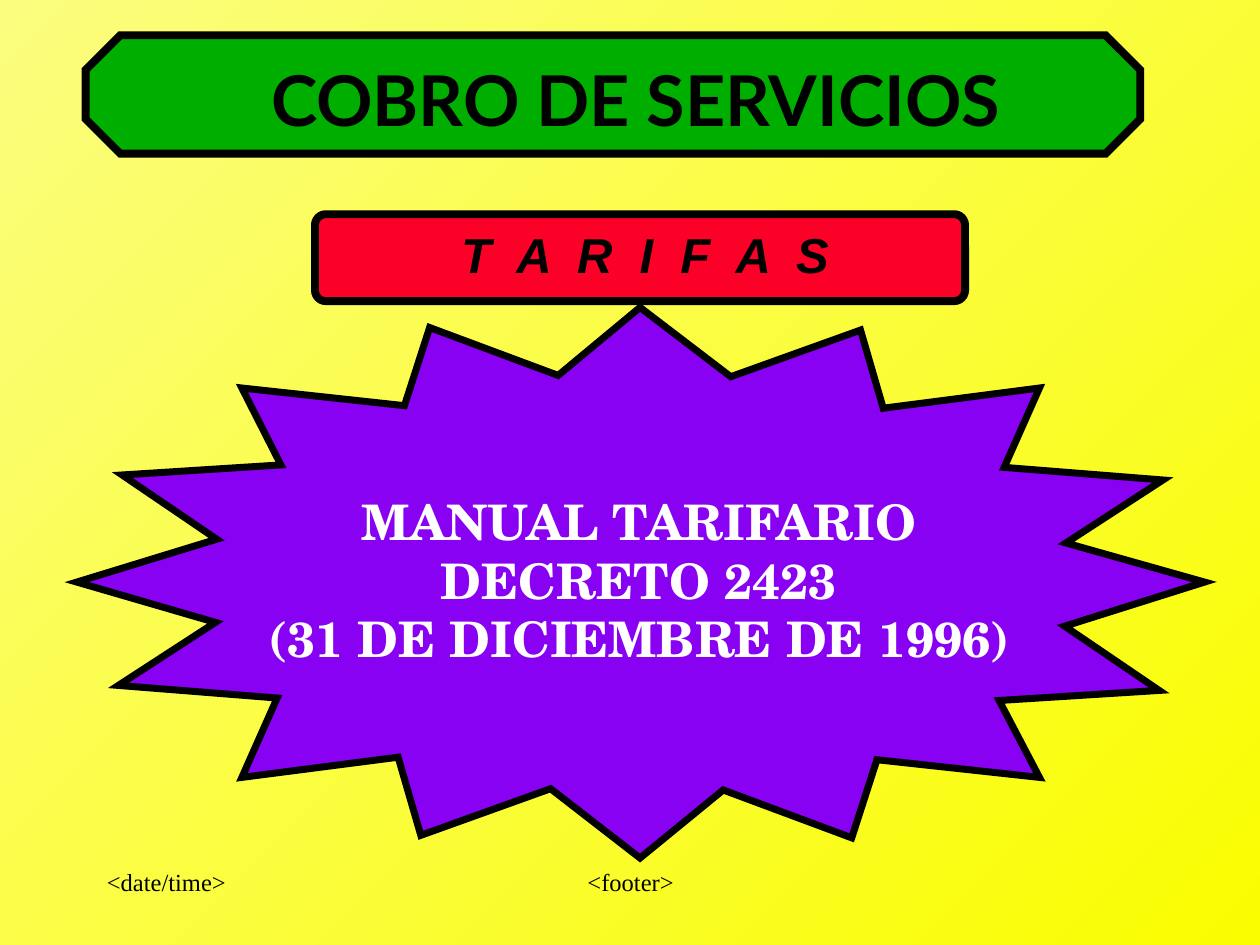
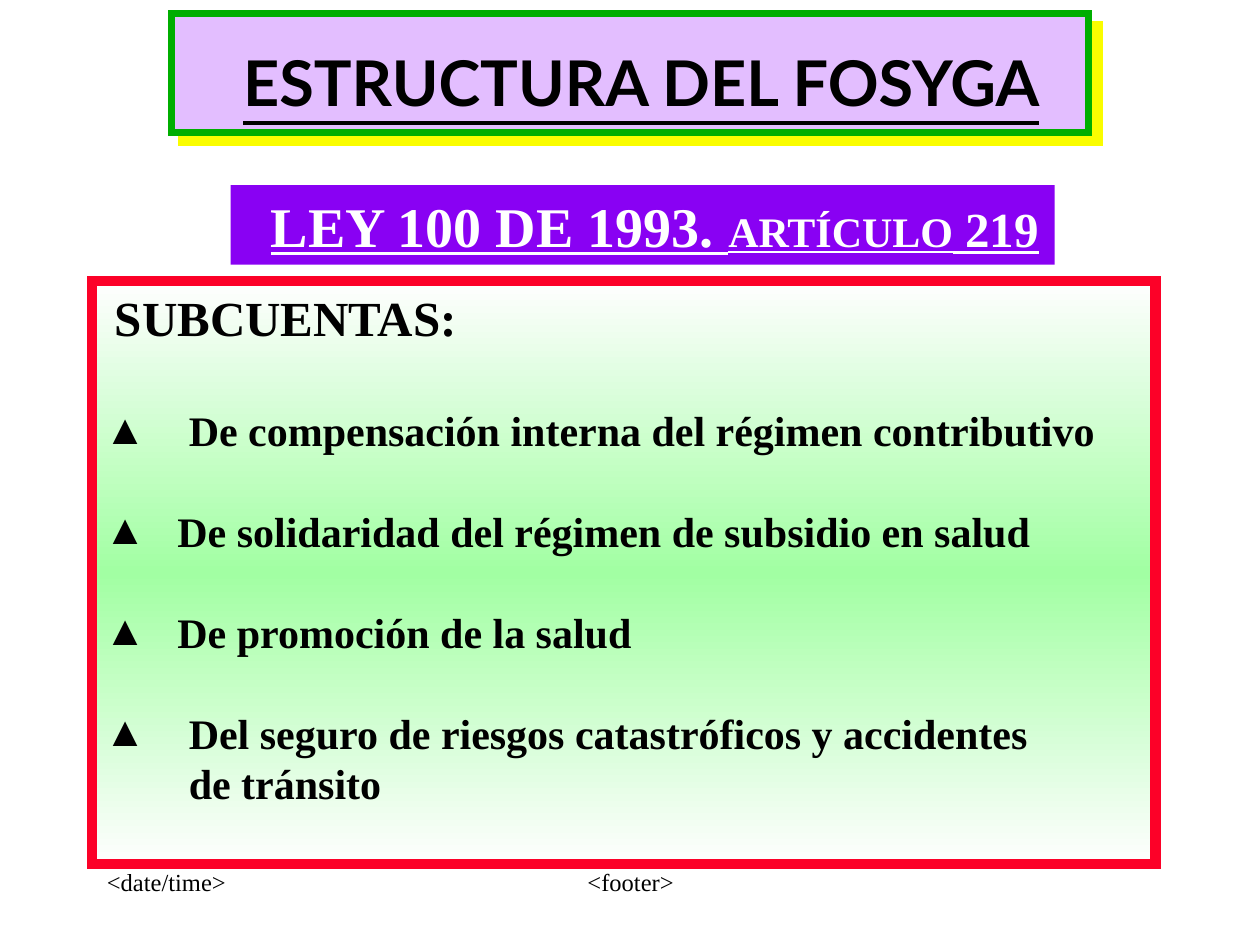
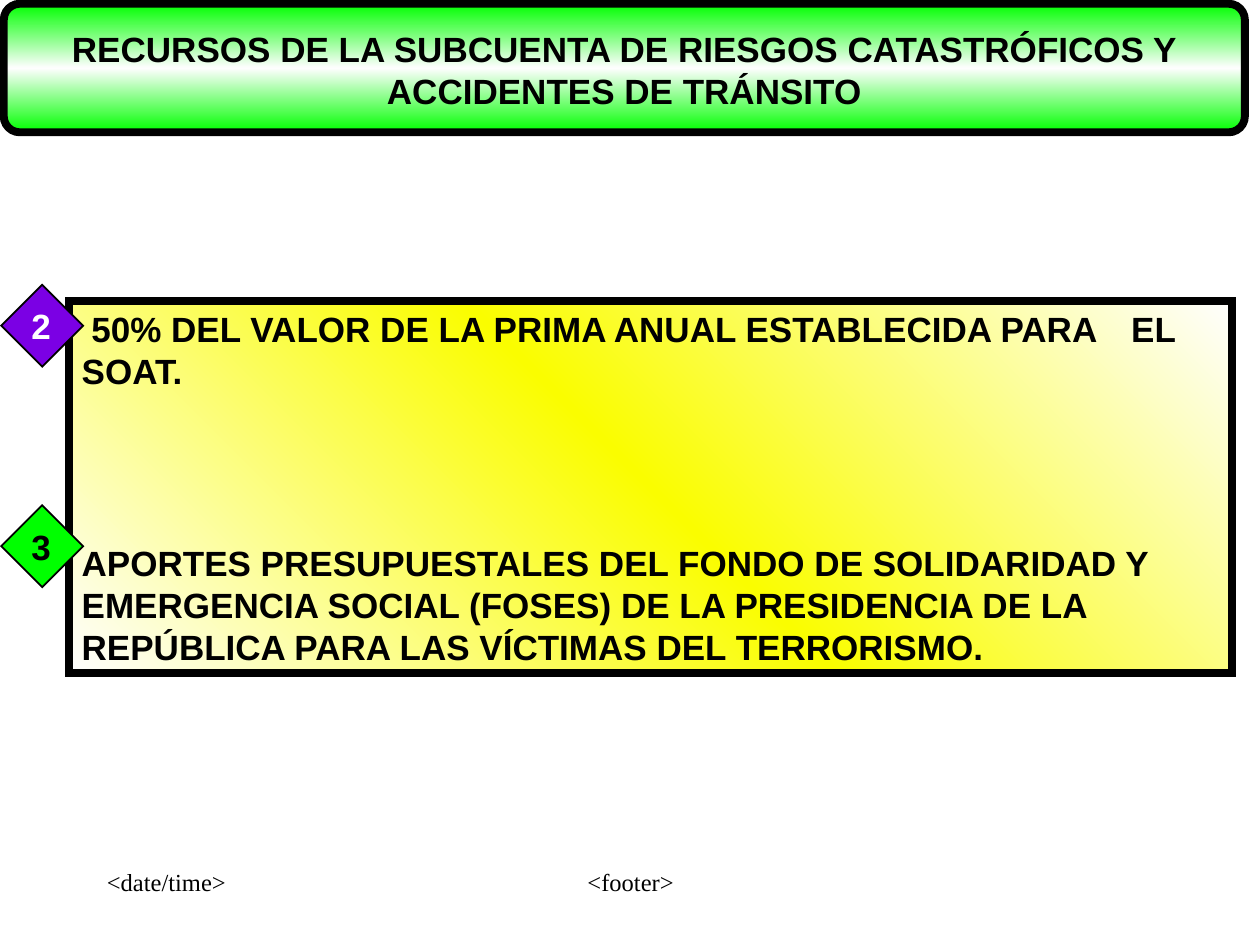
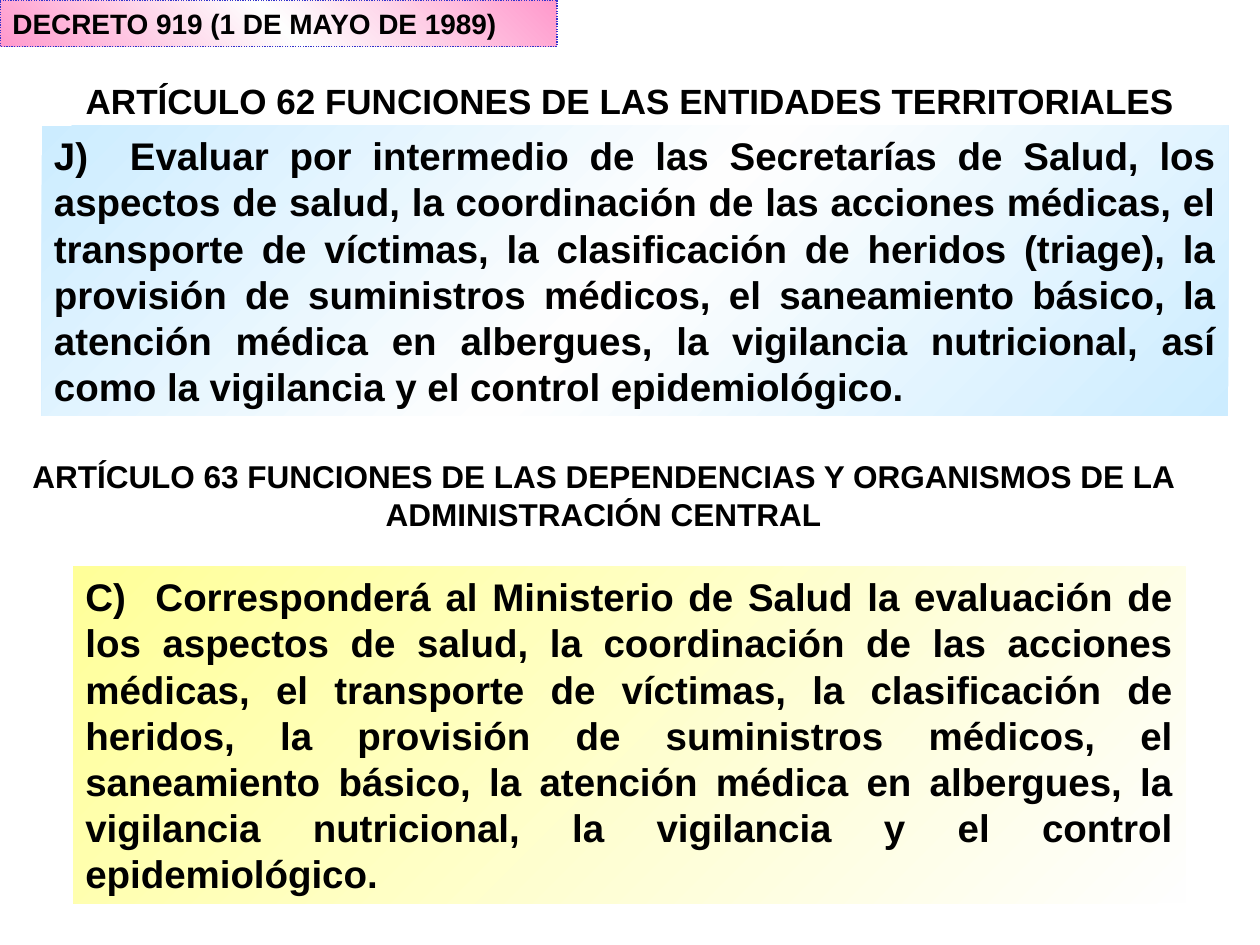
"""Builds four slides on health service tariffs, the FOSYGA fund and Decreto 919."""
from lxml import etree
from pptx import Presentation
from pptx.dml.color import RGBColor
from pptx.enum.dml import MSO_LINE
from pptx.enum.shapes import MSO_SHAPE
from pptx.enum.text import MSO_ANCHOR, PP_ALIGN
from pptx.oxml.ns import qn
from pptx.util import Inches, Pt

RECT, ROUND = MSO_SHAPE.RECTANGLE, MSO_SHAPE.ROUNDED_RECTANGLE
OCTAGON, DIAMOND = MSO_SHAPE.OCTAGON, MSO_SHAPE.DIAMOND
LEFT, CENTER, JUSTIFY = PP_ALIGN.LEFT, PP_ALIGN.CENTER, PP_ALIGN.JUSTIFY
TOP, DOTTED = MSO_ANCHOR.TOP, MSO_LINE.ROUND_DOT

COLORS = {
    "black": "000000", "white": "FFFFFF", "pale": "FEFEFE",
    "yellow": "FAFD00", "light yellow": "FBFD7E", "cream": "FFFF99",
    "red": "FC0128", "green": "00AE00", "lime": "00FF00", "mint": "A2FFA3",
    "violet": "8901F3", "purple": "7B00E4", "lilac": "E3BEFF",
    "sky": "CCECFF", "pink": "FF99CC", "blue": "3333CC",
}
SANS, SERIF, TITLE, SCHOOL = "Arial", "Times New Roman", "Lato", "TeX Gyre Schola"

BURST = [
    (0.61, 4.62), (1.71, 4.94), (0.94, 5.44), (2.2, 5.54), (1.92, 6.17), (3.16, 6.01),
    (3.34, 6.63), (4.37, 6.26), (5.08, 6.81), (5.74, 6.27), (6.76, 6.65), (6.96, 6.03),
    (8.25, 6.17), (7.93, 5.56), (9.2, 5.48), (8.45, 4.97), (9.56, 4.62), (8.46, 4.31),
    (9.23, 3.81), (7.97, 3.71), (8.25, 3.08), (7.01, 3.24), (6.83, 2.62), (5.8, 2.99),
    (5.08, 2.44), (4.43, 2.98), (3.41, 2.6), (3.21, 3.22), (1.92, 3.08), (2.23, 3.69),
    (0.97, 3.77), (1.72, 4.28),
]

FOOTER = [
    dict(at=(3.42, 6.83, 3.17, 0.5), font=SERIF, size=14, bold=False, align=CENTER,
         text=["<footer>"]),
    dict(at=(0.75, 6.83, 2.08, 0.5), font=SERIF, size=14, bold=False, text=["<date/time>"]),
]

TARIFFS = [
    dict(shape=ROUND, at=(2.5, 1.7, 5.16, 0.69), adjust=0.125, fill="red", line=("black", 4.5)),
    dict(outline=BURST, fill="violet", line=("black", 4)),
    dict(shape=OCTAGON, at=(0.68, 0.28, 8.37, 0.94), adjust=0.293, fill="green",
         line=("black", 4.5)),
    dict(at=(0.4, 0.4, 9.29, 0.76), font=TITLE, size=40, align=CENTER,
         text=["COBRO DE SERVICIOS"]),
    dict(at=(2.92, 1.73, 4.4, 0.56), size=28, italic=True, align=CENTER,
         text=["T  A  R  I  F  A  S"]),
    dict(at=(2.03, 3.85, 6.08, 1.5), font=SCHOOL, size=28, color="white", align=CENTER, wrap=False,
         text=["MANUAL TARIFARIO", "DECRETO 2423", "(31 DE DICIEMBRE DE 1996)"]),
]

SUBACCOUNTS = [
    ("De compensación interna del régimen contributivo", 0.67, 33.6),
    ("De solidaridad del régimen de subsidio en salud", 0.58, 28.8),
    ("De promoción de la salud", 0.58, 28.8),
    ("Del seguro de riesgos catastróficos y accidentes\nde tránsito", 0.67, 28.8),
]

FUND = [
    dict(shape=RECT, at=(1.36, 0.11, 7.28, 0.94), fill="lilac", line=("green", 4),
         shadow=("yellow", 8.5, 45)),
    dict(at=(1.59, 0.3, 7, 0.7), font=TITLE, size=36, underline=True, align=CENTER,
         text=["ESTRUCTURA DEL FOSYGA"]),
    dict(shape=RECT, at=(1.83, 1.47, 6.54, 0.63), fill="violet", font=SERIF, color="white",
         underline=True, wrap=False, inset=0.32,
         text=[dict(runs=[("LEY 100 DE 1993. ", 32), ("ARTÍCULO", 24), (" 219", 28)])]),
    dict(shape=RECT, at=(0.73, 2.23, 8.44, 4.63), fill=(90, "pale", "mint", "pale"),
         line=("red", 6), font=SERIF, size=24,
         text=[dict(runs=[(" ", 24), ("SUBCUENTAS:", 28)])]
         + [dict(runs=[(name, 24)], bullet="▲", indent=indent, before=before)
            for name, indent, before in SUBACCOUNTS]),
]

SOURCES = [("2", 2.26, "purple", "white"), ("3", 4.01, "lime", "black")]

RESOURCES = [
    dict(shape=RECT, at=(0.55, 2.39, 9.23, 2.95), fill=(135, "pale", "yellow", "pale"),
         line=("black", 4.5), size=20,
         text=[dict(runs=[(" 50% DEL VALOR DE LA PRIMA ANUAL ESTABLECIDA PARA \tEL SOAT.", 20)],
                    tab=8.33),
               dict(runs=[("APORTES PRESUPUESTALES DEL FONDO DE SOLIDARIDAD Y EMERGENCIA SOCIAL "
                           "(FOSES) DE LA PRESIDENCIA DE LA REPÚBLICA PARA LAS VÍCTIMAS DEL "
                           "TERRORISMO.", 20)], before=85.5)]),
    dict(shape=ROUND, at=(0.03, 0.03, 9.85, 1.02), adjust=0.125,
         fill=(90, "lime", "pale", "lime"), line=("black", 4.5)),
    dict(at=(0, 0.17, 9.91, 0.76), size=20, align=CENTER,
         text=["RECURSOS DE LA SUBCUENTA DE RIESGOS CATASTRÓFICOS Y ACCIDENTES DE TRÁNSITO"]),
]
for number, top, fill, color in SOURCES:
    RESOURCES += [
        dict(shape=DIAMOND, at=(0.01, top, 0.65, 0.65), fill=fill, line=("black", 1)),
        dict(at=(0.15, top + 0.11, 0.35, 0.43), size=20, color=color, wrap=False, text=[number]),
    ]

DECREE = [
    dict(at=(0, 0.58, 10, 0.44), size=20, align=CENTER,
         text=["ARTÍCULO 62 FUNCIONES DE LAS ENTIDADES TERRITORIALES"]),
    dict(shape=RECT, at=(0.33, 1, 9.42, 2.3), fill=(225, "sky", "pale", "sky"), size=22,
         align=JUSTIFY,
         text=["J)  Evaluar por intermedio de las Secretarías de Salud, los aspectos de salud, la "
               "coordinación de las acciones médicas, el transporte de víctimas, la clasificación "
               "de heridos (triage), la provisión de suministros médicos, el saneamiento básico, "
               "la atención médica en albergues, la vigilancia nutricional, así como la "
               "vigilancia y el control epidemiológico."]),
    dict(shape=RECT, at=(0, 0, 4.42, 0.37), fill=(135, "pink", "pale", "pink"),
         line=("blue", 0.75), dash=DOTTED, size=16, text=["DECRETO 919 (1 DE MAYO DE 1989)"]),
    dict(at=(0, 3.58, 9.58, 0.7), size=18, align=CENTER,
         text=["ARTÍCULO 63 FUNCIONES DE LAS DEPENDENCIAS Y ORGANISMOS DE LA ADMINISTRACIÓN "
               "CENTRAL"]),
    dict(shape=RECT, at=(0.58, 4.5, 8.83, 2.67), fill=(225, "pale", "cream"), size=22,
         align=JUSTIFY,
         text=["C)  Corresponderá al Ministerio de Salud la evaluación de los aspectos de salud, "
               "la coordinación de las acciones médicas, el transporte de víctimas, la "
               "clasificación de heridos, la provisión de suministros médicos, el saneamiento "
               "básico, la atención médica en albergues, la vigilancia nutricional, la "
               "vigilancia y el control epidemiológico."]),
]

SLIDES = [
    ((225, "yellow", "light yellow"), FOOTER + TARIFFS),
    ("white", FOOTER + FUND),
    ("white", FOOTER + RESOURCES),
    ("white", DECREE),
]


def rgb(name):
    return RGBColor.from_string(COLORS[name])


def add_xml(parent, tag, **attributes):
    return etree.SubElement(parent, qn(tag), attributes)


def paint(fill, holder, paint_spec):
    if isinstance(paint_spec, str):
        fill.solid()
        fill.fore_color.rgb = rgb(paint_spec)
        return
    angle, *names = paint_spec
    fill.gradient()
    fill.gradient_angle = 360 - angle
    stops = next(holder.iter(qn("a:gsLst")))
    for stop in list(stops):
        stops.remove(stop)
    for i, name in enumerate(names):
        stop = add_xml(stops, "a:gs", pos=str(i * 100000 // (len(names) - 1)))
        add_xml(stop, "a:srgbClr", val=COLORS[name])


def style_shape(shape, part):
    shape.shadow.inherit = False
    properties = shape._element.spPr
    paint(shape.fill, properties, part["fill"])
    if "adjust" in part:
        shape.adjustments[0] = part["adjust"]
    if "line" in part:
        name, width = part["line"]
        shape.line.color.rgb = rgb(name)
        shape.line.width = Pt(width)
        if "dash" in part:
            shape.line.dash_style = part["dash"]
        add_xml(properties.find(qn("a:ln")), "a:miter", lim="800000")
    else:
        shape.line.fill.background()
    if "shadow" in part:
        name, distance, angle = part["shadow"]
        shadow = add_xml(properties.find(qn("a:effectLst")), "a:outerShdw", blurRad="0",
                         dist=str(Pt(distance)), dir=str(angle * 60000), algn="tl",
                         rotWithShape="0")
        add_xml(shadow, "a:srgbClr", val=COLORS[name])


def add_run(paragraph, text, size, part):
    run = paragraph.add_run()
    run.text = text
    font = run.font
    font.name = part.get("font", SANS)
    font.size = Pt(size)
    font.bold = part.get("bold", True)
    font.italic = part.get("italic", False)
    font.underline = part.get("underline", False)
    font.color.rgb = rgb(part.get("color", "black"))


def write(frame, part):
    frame.word_wrap = part.get("wrap", True)
    frame.vertical_anchor = TOP
    frame.margin_left = Inches(part.get("inset", 0.1))
    for i, item in enumerate(part["text"]):
        if isinstance(item, str):
            item = dict(runs=[(item, part["size"])])
        paragraph = frame.add_paragraph() if i else frame.paragraphs[0]
        paragraph.alignment = part.get("align", LEFT)
        if "before" in item:
            paragraph.space_before = Pt(item["before"])
        properties = paragraph._p.get_or_add_pPr()
        if "bullet" in item:
            indent = Inches(item["indent"])
            properties.set("marL", str(indent))
            properties.set("indent", str(-indent))
            add_xml(add_xml(properties, "a:buClr"), "a:srgbClr", val=COLORS["black"])
            add_xml(properties, "a:buFont", typeface=part["font"])
            add_xml(properties, "a:buChar", char=item["bullet"])
        if "tab" in item:
            add_xml(add_xml(properties, "a:tabLst"), "a:tab", pos=str(Inches(item["tab"])),
                    algn="l")
        for text, size in item["runs"]:
            for j, line in enumerate(text.split("\n")):
                if j:
                    paragraph.add_line_break()
                add_run(paragraph, line, size, part)


def add_part(slide, part):
    if "outline" in part:
        points = [(Inches(x), Inches(y)) for x, y in part["outline"]]
        builder = slide.shapes.build_freeform(*points[0])
        builder.add_line_segments(points[1:], close=True)
        shape = builder.convert_to_shape()
    else:
        box = [Inches(length) for length in part["at"]]
        if "shape" in part:
            shape = slide.shapes.add_shape(part["shape"], *box)
        else:
            shape = slide.shapes.add_textbox(*box)
    if "fill" in part:
        style_shape(shape, part)
    if "text" in part:
        write(shape.text_frame, part)


def main():
    deck = Presentation()
    deck.slide_width, deck.slide_height = Inches(10), Inches(7.5)
    for background, parts in SLIDES:
        slide = deck.slides.add_slide(deck.slide_layouts[6])
        paint(slide.background.fill, slide._element, background)
        for part in parts:
            add_part(slide, part)
    deck.save("out.pptx")


if __name__ == "__main__":
    main()
